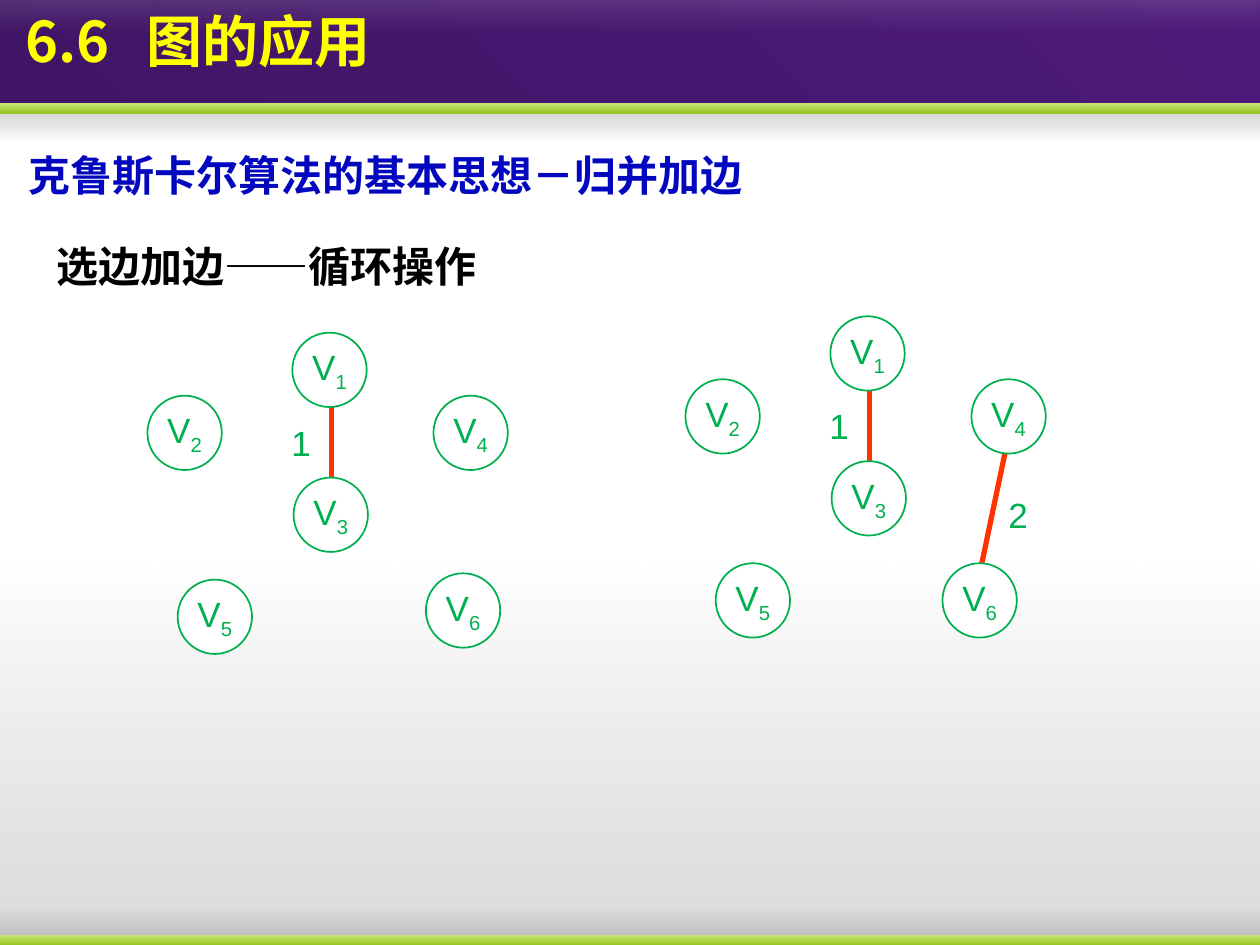
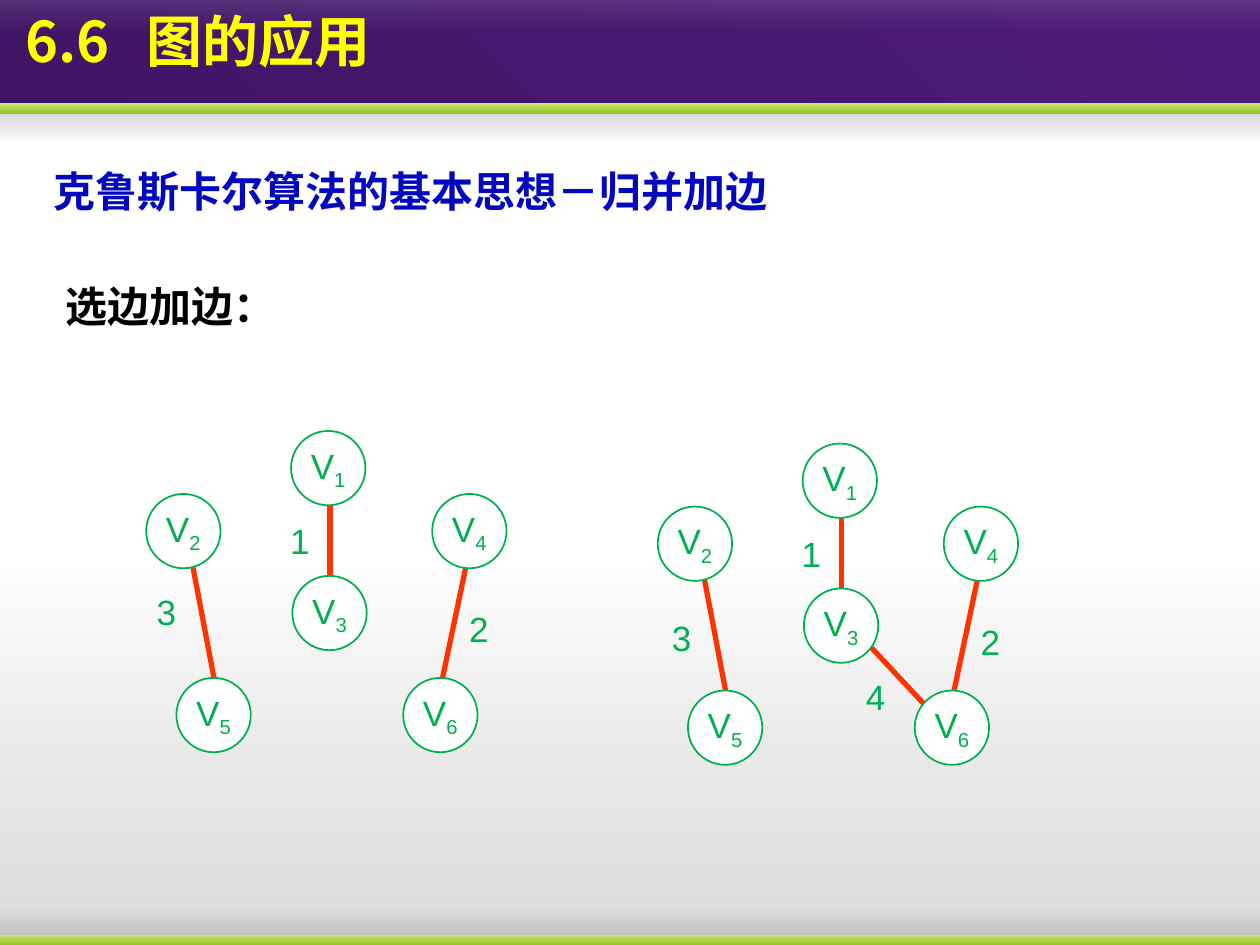
"""Builds two slides on Kruskal's algorithm: edges are added to a graph one by one."""
from lxml.etree import SubElement
from pptx import Presentation
from pptx.dml.color import RGBColor
from pptx.enum.shapes import MSO_CONNECTOR as Connector, MSO_SHAPE as Shape
from pptx.enum.text import MSO_ANCHOR as Anchor, MSO_AUTO_SIZE as AutoSize, PP_ALIGN as Align
from pptx.oxml import parse_xml
from pptx.oxml.ns import nsdecls, qn
from pptx.util import Inches, Pt

COLORS = {
    "white": "FFFFFF", "black": "000000", "title": "FFFF00", "heading": "0307BD",
    "node": "00B050", "edge": "FF3300", "purple dark": "401565", "purple": "4D1979",
    "lime light": "C9E576", "lime": "97C523", "shade dark": "5C5C5C",
    "shade": "808080", "gloss": "B6B6B6",
}
CJK, LATIN = "Noto Sans CJK SC", "Arial"
TITLE = "6.6\t图的应用"
HEADING = "克鲁斯卡尔算法的基本思想－归并加边"
NODE_SIZE, LABEL_SIZE = 0.59, 0.24

LIME = (("lime light", 100), ("lime", 100))
SHADE = (("shade dark", 0), ("shade", 33))
BANDS = (
    (7.22, 0.24, SHADE, 90, 0),
    (4.46, 3.04, (("shade dark", 0), ("shade", 29)), 90, 0),
    (7.42, 0.08, LIME, 90, 0),
    (0, 0.9, (("purple dark", 100), ("purple", 100)), 315, 0),
    (0.88, 0.24, SHADE, 90, 180),
    (0.82, 0.08, LIME, 90, 0),
    (0, 0.28, (("white", 13), ("gloss", 0)), 90, 0),
)

NODES = {2: (0, 0), 4: (2.27, 0), 5: (0.24, 1.46), 6: (2.04, 1.46),
         1: (1.15, -0.5), 3: (1.16, 0.65)}
EDGES = {
    1: ((1.46, 0.73), (1.46, -0.05)),
    2: ((2.34, 1.52), (2.55, 0.52)),
    3: ((0.54, 1.47), (0.36, 0.52)),
    4: ((2.19, 1.65), (1.64, 1.06)),
}
LABELS = {1: (1.1, 0.25), 2: (2.52, 0.95), 3: (0.07, 0.92), 4: (1.61, 1.39)}


def rgb(name):
    return RGBColor.from_string(COLORS[name])


def write(frame, text, size=20, font=LATIN, color="node", bold=False,
          align=Align.LEFT, anchor=Anchor.MIDDLE, wrap=True, inset=None, subscript=""):
    frame.word_wrap, frame.vertical_anchor = wrap, anchor
    frame.auto_size = AutoSize.NONE
    if inset is not None:
        frame.margin_left = frame.margin_right = Inches(inset)
        frame.margin_top = frame.margin_bottom = Inches(inset)
    para = frame.paragraphs[0]
    para.alignment = align
    for part in filter(None, (text, subscript)):
        span = para.add_run()
        span.text = part
        span.font.size, span.font.bold, span.font.name = Pt(size), bold, font
        span.font.color.rgb = rgb(color)
        SubElement(span.font._element, qn("a:ea"), typeface=CJK)
    if subscript:
        span.font._element.set("baseline", "-25000")
    return para


def add_box(slide, kind, left, top, width, height, fill="white", line=None):
    box = slide.shapes.add_shape(kind, Inches(left), Inches(top), Inches(width), Inches(height))
    box.shadow.inherit = False
    box.fill.solid()
    box.fill.fore_color.rgb = rgb(fill)
    if line:
        box.line.color.rgb, box.line.width = rgb(line), Pt(1)
    else:
        box.line.fill.background()
    return box


def add_text(slide, text, left, top, width, height, **style):
    box = slide.shapes.add_textbox(Inches(left), Inches(top), Inches(width), Inches(height))
    write(box.text_frame, text, **style)


def add_band(slide, top, height, stops, angle, rotation):
    band = add_box(slide, Shape.RECTANGLE, 0, top, 10, height)
    band.rotation = rotation
    stop_xml = "".join(
        f'<a:gs pos="{place * 100000}"><a:srgbClr val="{COLORS[name]}">'
        f'<a:alpha val="{opacity * 1000}"/></a:srgbClr></a:gs>'
        for place, (name, opacity) in enumerate(stops))
    gradient = parse_xml(
        f'<a:gradFill {nsdecls("a")} rotWithShape="1"><a:gsLst>{stop_xml}</a:gsLst>'
        f'<a:lin ang="{angle * 60000}" scaled="0"/></a:gradFill>')
    solid = band.element.spPr.find(qn("a:solidFill"))
    solid.getparent().replace(solid, gradient)
    return band


def dress_layout(layout, slide):
    for position, band_format in enumerate(BANDS, start=2):
        band = add_band(slide, *band_format)
        layout.shapes.element.insert(position, band.element)


def set_title(slide):
    title = slide.shapes.title
    title.left, title.top = Inches(0.1), Inches(0)
    title.width, title.height = Inches(9.9), Inches(0.9)
    para = write(title.text_frame, TITLE, size=32, font=CJK, color="title", bold=True,
                 anchor=Anchor.TOP)
    tabs = SubElement(para._p.get_or_add_pPr(), qn("a:tabLst"))
    SubElement(tabs, qn("a:tab"), pos=str(Inches(0.96)), algn="l")


def add_heading(slide, left, top):
    box = add_box(slide, Shape.RECTANGLE, left, top, 6.09, 0.56)
    write(box.text_frame, HEADING, size=24, font=CJK, color="heading", bold=True)


def add_step(slide, text, left, top, width, wrap=True):
    add_text(slide, text, left, top, width, 0.5, size=24, color="black", bold=True,
             anchor=Anchor.TOP, wrap=wrap)


def add_edge(slide, start, end):
    edge = slide.shapes.add_connector(Connector.STRAIGHT, *map(Inches, start + end))
    edge.line.color.rgb, edge.line.width = rgb("edge"), Pt(3)
    SubElement(edge.element.spPr, qn("a:effectLst"))


def add_graph(slide, left, top, weights, nodes=NODES, labels=LABELS):
    def shift(point):
        return left + point[0], top + point[1]

    for weight in weights:
        add_edge(slide, *map(shift, EDGES[weight]))
    for number, point in nodes.items():
        node = add_box(slide, Shape.OVAL, *shift(point), NODE_SIZE, NODE_SIZE, line="node")
        write(node.text_frame, "V", subscript=str(number), align=Align.CENTER, wrap=False)
    for weight in weights:
        add_text(slide, str(weight), *shift(labels[weight]), LABEL_SIZE, LABEL_SIZE,
                 align=Align.CENTER, wrap=False, inset=0)


def main():
    deck = Presentation()
    deck.slide_width, deck.slide_height = Inches(10), Inches(7.5)
    layout = deck.slide_layouts.get_by_name("Title Only")
    first, second = (deck.slides.add_slide(layout) for _ in range(2))
    dress_layout(layout, first)
    for slide in (first, second):
        set_title(slide)

    add_heading(first, 0.13, 1.11)
    add_step(first, "选边加边——循环操作", 0.35, 1.86, 8.02)
    add_graph(first, 1.17, 3.14, (1,), nodes=NODES | {6: (2.21, 1.41)})
    add_graph(first, 5.44, 3.01, (1, 2))

    add_heading(second, 0.33, 1.23)
    add_step(second, "选边加边：", 0.42, 2.18, 1.89, wrap=False)
    add_graph(second, 1.16, 3.92, (1, 2, 3), labels=LABELS | {3: (0.04, 0.81)})
    add_graph(second, 5.22, 4.02, (1, 2, 3, 4))
    deck.save("out.pptx")


if __name__ == "__main__":
    main()
